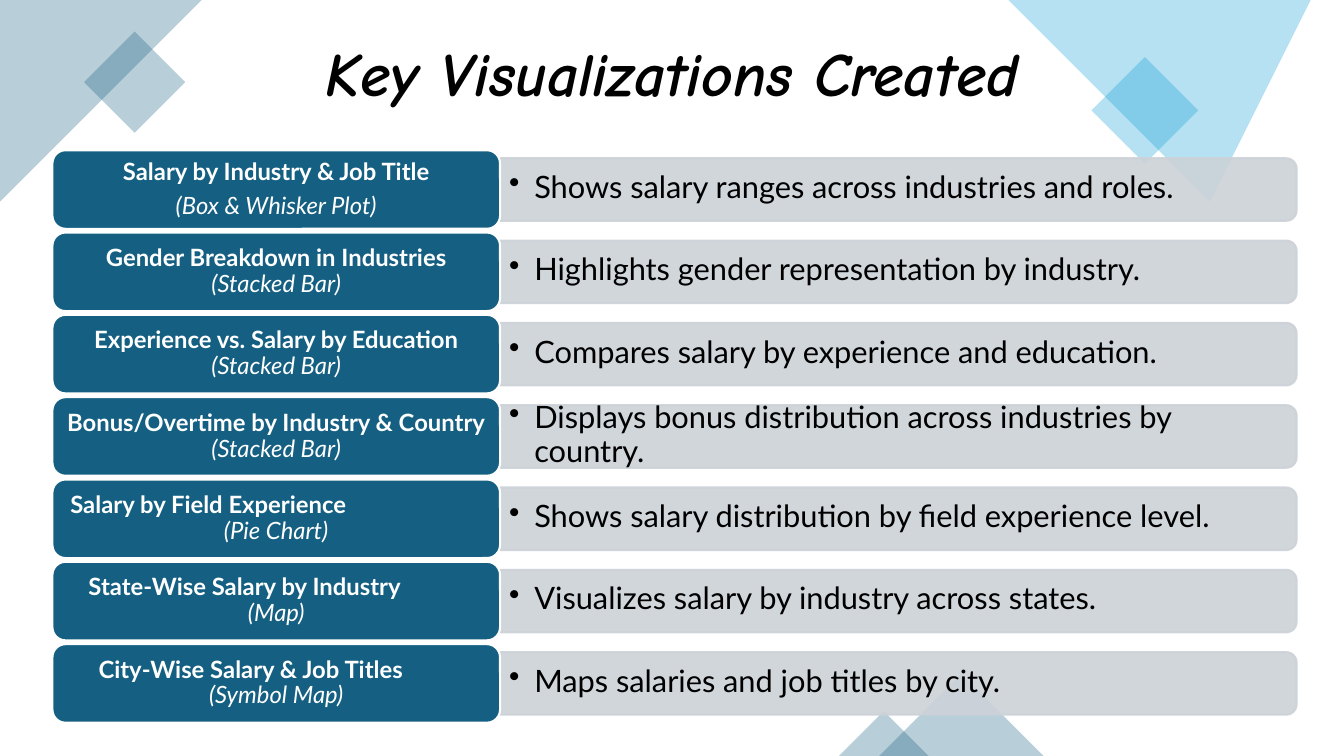
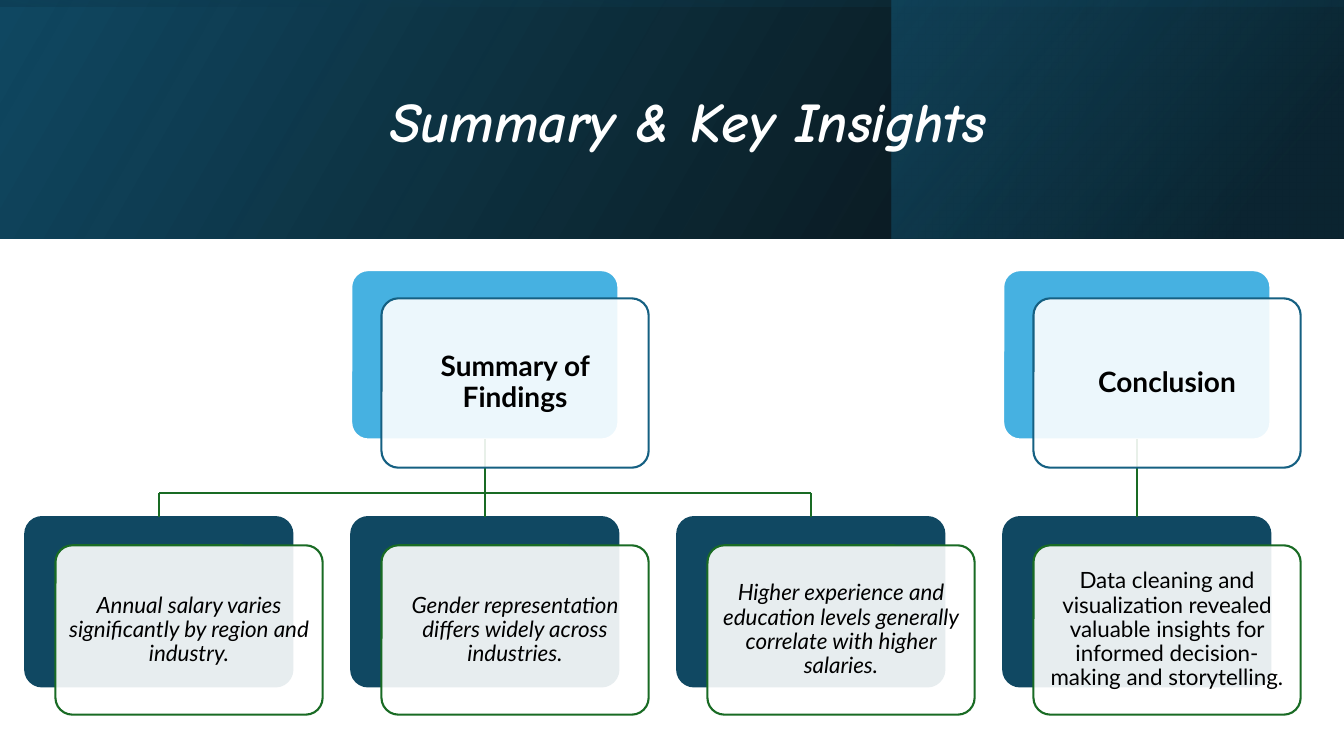
from dataclasses import dataclass

from lxml import etree
from pptx import Presentation
from pptx.dml.color import RGBColor
from pptx.enum import shapes, text
from pptx.oxml import ns
from pptx.util import Inches, Pt

# Shared colours and type
TEAL = RGBColor(0x15, 0x60, 0x82)
SKY = RGBColor(0x0F, 0x9E, 0xD5)
LIGHT_BLUE = RGBColor(0x46, 0xB1, 0xE1)
NAVY = RGBColor(0x10, 0x48, 0x62)
DEEP = RGBColor(0x0B, 0x30, 0x41)
GREEN = RGBColor(0x19, 0x6B, 0x24)
GREY = RGBColor(0xCC, 0xD2, 0xD8)
WHITE = RGBColor(0xFF, 0xFF, 0xFF)
BLACK = RGBColor(0, 0, 0)
TITLE_FONT, BODY_FONT = "Comic Neue", "Lato"
KIND = shapes.MSO_SHAPE
CENTER, LEFT = text.PP_ALIGN.CENTER, text.PP_ALIGN.LEFT
LINE_WIDTH = Pt(1.5)

# Slide 1 grid
ROW_TOP, ROW_PITCH = 1.49, (6.39 - 1.49) / 6
LABEL_LEFT, LABEL_WIDTH, LABEL_HEIGHT = 0.52, 4.44, 0.78
BAR_LEFT, BAR_WIDTH, BAR_HEIGHT = 4.96, 7.9, 0.62

# Slide 2 grid
BANNER_HEIGHT = 2.37
CARD_LEFT, CARD_PITCH = 0.25, (9.95 - 0.25) / 3
CARD_WIDTH, CARD_HEIGHT = 2.65, 1.68
FRONT_DX, FRONT_DY = 0.3, 0.28
PARENT_TOP, CHILD_TOP, BRANCH_Y = 2.68, 5.13, 4.89


@dataclass
class Row:
    name: str
    chart: str
    detail: str
    indent: float | None = None  # left indent of a name that is not centred
    gap: float = 0  # points between name and chart


@dataclass
class Stop:
    position: float
    color: RGBColor
    opacity: int = 100


@dataclass
class Card:
    column: int
    caption: str
    italic: bool = True


@dataclass
class Branch:
    parent: Card
    children: list[Card]


ROWS = [
    Row("Salary by Industry & Job Title", "(Box & Whisker Plot)",
        "Shows salary ranges across industries and roles.", gap=6),
    Row("Gender Breakdown in Industries", "(Stacked Bar)",
        "Highlights gender representation by industry."),
    Row("Experience vs. Salary by Education", "(Stacked Bar)",
        "Compares salary by experience and education."),
    Row("Bonus/Overtime by Industry & Country", "(Stacked Bar)",
        "Displays bonus distribution across industries by country."),
    Row("Salary by Field Experience", "(Pie Chart)",
        "Shows salary distribution by field experience level.", indent=0.07),
    Row("State-Wise Salary by Industry", "(Map)",
        "Visualizes salary by industry across states.", indent=0.25),
    Row("City-Wise Salary & Job Titles", "(Symbol Map)",
        "Maps salaries and job titles by city.", indent=0.35),
]

BRANCHES = [
    Branch(Card(1, "Summary of Findings"), [
        Card(0, "Annual salary varies significantly by region and industry."),
        Card(1, "Gender representation differs widely across industries."),
        Card(2, "Higher experience and education levels generally correlate "
                "with higher salaries."),
    ]),
    Branch(Card(3, "Conclusion"), [
        Card(3, "Data cleaning and visualization revealed valuable insights "
                "for informed decision-making and storytelling.", italic=False),
    ]),
]


# Helpers
def set_opacity(color, percent: int) -> None:
    if percent < 100:
        etree.SubElement(color, ns.qn("a:alpha")).set("val", str(percent * 1000))


def style(shape, fill: RGBColor, line: RGBColor | None = None,
          opacity: int = 100, line_opacity: int = 100):
    shape.shadow.inherit = False
    shape.fill.solid()
    shape.fill.fore_color.rgb = fill
    if line is None:
        shape.line.fill.background()
    else:
        shape.line.color.rgb = line
        shape.line.width = LINE_WIDTH
        for color in shape.element.xpath("./p:spPr/a:ln//a:srgbClr"):
            set_opacity(color, line_opacity)
    for color in shape.element.xpath("./p:spPr/a:solidFill/a:srgbClr"):
        set_opacity(color, opacity)
    return shape


def add_shape(page, kind, left: float, top: float, width: float, height: float,
              rotation: float = 0):
    shape = page.shapes.add_shape(kind, Inches(left), Inches(top),
                                  Inches(width), Inches(height))
    shape.rotation = rotation
    return shape


def add_outline(page, points: list[tuple[float, float]]):
    builder = page.shapes.build_freeform(*points[0], scale=Inches(1))
    builder.add_line_segments(points[1:], close=True)
    return builder.convert_to_shape()


def add_gradient(page, left: float, width: float, angle: float,
                 stops: tuple[Stop, Stop]) -> None:
    """Draw a banner layer; the angle runs clockwise from left to right."""
    band = add_shape(page, KIND.RECTANGLE, left, 0, width, BANNER_HEIGHT)
    band.shadow.inherit = False
    band.line.fill.background()
    band.fill.gradient()
    band.fill.gradient_angle = 360 - angle
    for target, stop in zip(band.fill.gradient_stops, stops):
        target.position = stop.position
        target.color.rgb = stop.color
    colors = band.element.xpath("./p:spPr//a:gs/a:srgbClr")
    for color, stop in zip(colors, stops):
        set_opacity(color, stop.opacity)


def set_frame(shape, side: float, edge: float) -> None:
    frame = shape.text_frame
    frame.word_wrap = True
    frame.vertical_anchor = text.MSO_ANCHOR.MIDDLE
    frame.margin_left = frame.margin_right = Inches(side)
    frame.margin_top = frame.margin_bottom = Inches(edge)


def write(shape, words: str, *, size: float, color: RGBColor = BLACK,
          font: str = BODY_FONT, bold: bool = False, italic: bool = False,
          align=CENTER, indent: float = 0, bullet: bool = False,
          after: float = 0) -> None:
    """Add one paragraph, using the first one while it is empty."""
    frame = shape.text_frame
    para = frame.paragraphs[0]
    if para.runs:
        para = frame.add_paragraph()
    para.alignment = align
    para.line_spacing = 0.9
    para.space_after = Pt(after)
    span = para.add_run()
    span.text = words
    span.font.name, span.font.size = font, Pt(size)
    span.font.bold, span.font.italic = bold, italic
    span.font.color.rgb = color
    layout = para._p.get_or_add_pPr()
    if indent:
        layout.set("marL", str(Inches(indent)))
    if bullet:
        layout.set("indent", str(-Inches(indent)))
        etree.SubElement(layout, ns.qn("a:buChar")).set("char", "•")


def add_box(page, left: float, top: float, width: float, height: float):
    box = page.shapes.add_textbox(Inches(left), Inches(top),
                                  Inches(width), Inches(height))
    set_frame(box, 0.1, 0.05)
    return box


def add_title(page, words: str, left: float, top: float, width: float,
              height: float, size: float, color: RGBColor) -> None:
    write(add_box(page, left, top, width, height), words, size=size,
          color=color, font=TITLE_FONT, bold=True, italic=True)


def add_line(page, x1: float, y1: float, x2: float, y2: float):
    line = page.shapes.add_connector(shapes.MSO_CONNECTOR.STRAIGHT, Inches(x1),
                                     Inches(y1), Inches(x2), Inches(y2))
    line.line.color.rgb = GREEN
    line.line.width = LINE_WIDTH
    etree.SubElement(line.element.spPr, ns.qn("a:effectLst"))
    return line


# Slide 1: list of visualizations
def add_corners(page) -> None:
    left_corner = [(1.53, 0), (0, 0), (0, 1.3), (0.41, 1.71), (1.83, 0.3)]
    right_corner = [(13.33, 0), (10.23, 0), (11.93, 1.62), (13.33, 0.28)]
    style(add_outline(page, left_corner), TEAL, opacity=30)
    style(add_shape(page, KIND.RECTANGLE, 0.98, 0.46, 0.71, 0.71, 45), TEAL, opacity=30)
    style(add_shape(page, KIND.RECTANGLE, 10.98, 0.72, 0.75, 0.75, 45), SKY, opacity=30)
    style(add_outline(page, right_corner), SKY, opacity=30)
    for left, width in ((8.72, 1.63), (8.32, 0.89)):
        height = width / 2
        peak = add_shape(page, KIND.ISOSCELES_TRIANGLE, left, 7.5 - height, width, height)
        style(peak, TEAL, opacity=30)


def add_row(page, row: Row, top: float) -> None:
    middle = top + LABEL_HEIGHT / 2
    # The bar is an upright shape turned a quarter, round on the right
    bar = add_shape(page, KIND.ROUND_2_SAME_RECTANGLE,
                    BAR_LEFT + (BAR_WIDTH - BAR_HEIGHT) / 2, middle - BAR_WIDTH / 2,
                    BAR_HEIGHT, BAR_WIDTH, 90)
    style(bar, GREY, GREY, opacity=90, line_opacity=90)
    box = add_box(page, BAR_LEFT, middle - 0.29, 7.87, 0.56)
    set_frame(box, 0.09, 0.05)
    write(box, row.detail, size=22, align=LEFT, indent=0.25, bullet=True)

    label = add_shape(page, KIND.ROUNDED_RECTANGLE, LABEL_LEFT, top,
                      LABEL_WIDTH, LABEL_HEIGHT)
    style(label, TEAL, WHITE)
    set_frame(label, 0.07, 0.04)
    write(label, row.name, size=17, color=WHITE, bold=True, after=row.gap,
          align=CENTER if row.indent is None else LEFT, indent=row.indent or 0)
    write(label, row.chart, size=17, color=WHITE, italic=True)


def build_visualizations(page) -> None:
    add_corners(page)
    add_title(page, "Key Visualizations Created", 0.92, 0.1, 11.5, 1.31, 44, BLACK)
    for number, row in enumerate(ROWS):
        add_row(page, row, ROW_TOP + number * ROW_PITCH)


# Slide 2: tree of insights
def add_card(page, left: float, top: float, fill: RGBColor, line: RGBColor,
             opacity: int = 100):
    card = add_shape(page, KIND.ROUNDED_RECTANGLE, left, top, CARD_WIDTH, CARD_HEIGHT)
    card.adjustments[0] = 0.1
    return style(card, fill, line, opacity)


def add_front(page, card: Card, top: float, line: RGBColor, **font) -> None:
    left = CARD_LEFT + card.column * CARD_PITCH + FRONT_DX
    front = add_card(page, left, top + FRONT_DY, WHITE, line, opacity=90)
    set_frame(front, 0.08, 0.08)
    write(front, card.caption, **font)


def add_branch(page, branch: Branch) -> None:
    def left_of(card: Card) -> float:
        return CARD_LEFT + card.column * CARD_PITCH

    trunk = left_of(branch.parent) + CARD_WIDTH / 2
    parent = add_card(page, left_of(branch.parent), PARENT_TOP, LIGHT_BLUE, WHITE)
    for child in branch.children:
        back = add_card(page, left_of(child), CHILD_TOP, NAVY, NAVY)
        center = left_of(child) + CARD_WIDTH / 2
        if child.column == branch.parent.column:
            line = add_line(page, trunk, PARENT_TOP + CARD_HEIGHT, center, CHILD_TOP)
            line.begin_connect(parent, 2)
        else:
            add_line(page, trunk, BRANCH_Y, center, BRANCH_Y)
            line = add_line(page, center, BRANCH_Y, center, CHILD_TOP)
        line.end_connect(back, 0)
    # Front cards cover the lines
    add_front(page, branch.parent, PARENT_TOP, TEAL, size=20, bold=True)
    for child in branch.children:
        add_front(page, child, CHILD_TOP, GREEN, size=16, italic=child.italic)


def build_summary(page) -> None:
    add_gradient(page, 0, 13.33, 30, (Stop(0, NAVY), Stop(1, BLACK, 96)))
    add_gradient(page, 8.84, 4.49, 40, (Stop(0, TEAL, 48), Stop(0.81, DEEP, 68)))
    add_gradient(page, 0, 13.33, 100, (Stop(0.23, NAVY, 16), Stop(0.99, BLACK, 45)))
    add_title(page, "Summary & Key Insights", 1.51, 0.38, 10.63, 1.7, 40, WHITE)
    for branch in BRANCHES:
        add_branch(page, branch)


def main() -> None:
    deck = Presentation()
    deck.slide_width, deck.slide_height = Inches(13.33), Inches(7.5)
    for build in (build_visualizations, build_summary):
        build(deck.slides.add_slide(deck.slide_layouts[6]))
    deck.save("out.pptx")


if __name__ == "__main__":
    main()
